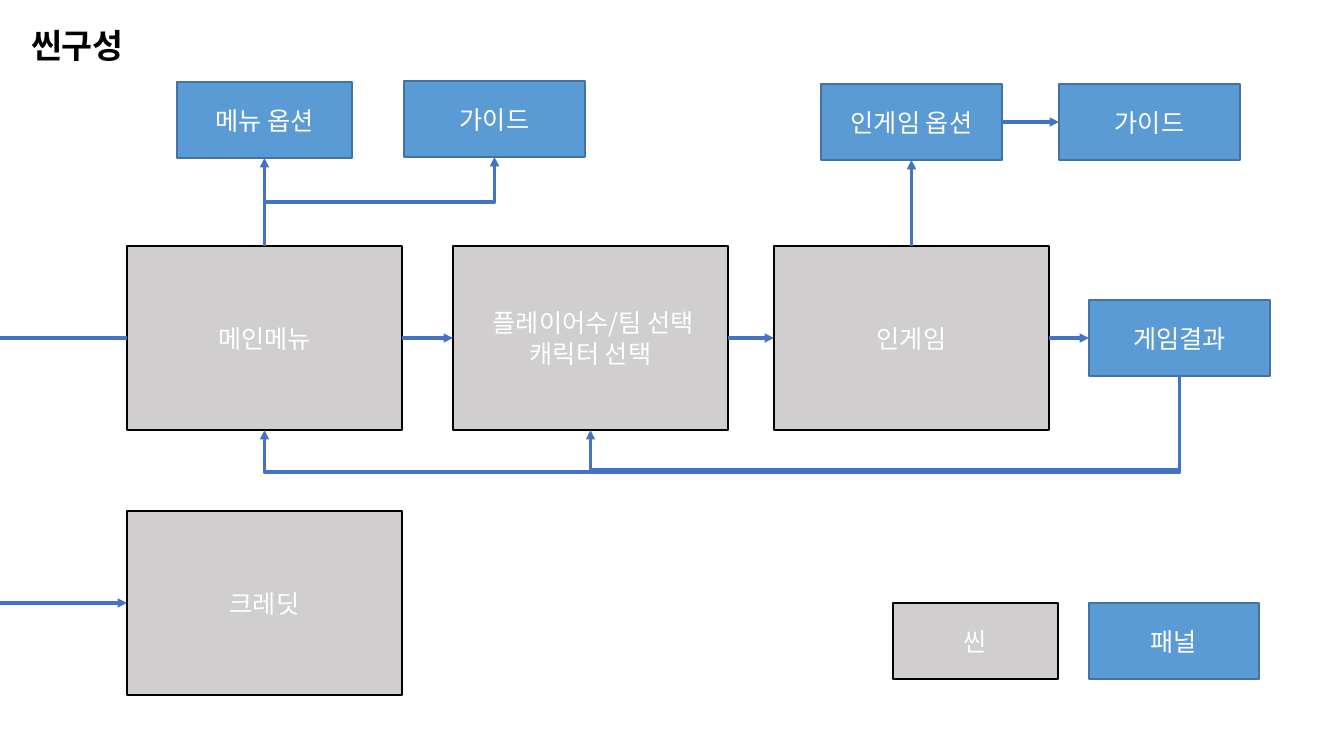
from lxml import etree
from pptx import Presentation
from pptx import util as u
from pptx.dml.color import RGBColor
from pptx.enum import shapes, text
from pptx.oxml.ns import qn

PX = 914400 / 100.8
FONT = "Noto Sans CJK KR"
COLOURS = {
    "scene": "D0CECE", "scene_edge": "000000",
    "panel": "5B9BD5", "panel_edge": "43739E",
    "arrow": "4472C4", "label": "FFFFFF", "title": "000000",
}
TOP, LEFT, BOTTOM, RIGHT = range(4)
SCENE_W, SCENE_H = 275, 184
PANEL_W, PANEL_H = 181, 76


def px(*lengths):
    return [u.Emu(round(length * PX)) for length in lengths]


def colour(name):
    return RGBColor.from_string(COLOURS[name])


def format_run(run, size, colour_name, bold=False):
    for key, value in {"size": u.Pt(size), "bold": bold, "name": FONT}.items():
        setattr(run.font, key, value)
    run.font.color.rgb = colour(colour_name)
    etree.SubElement(run.font._element, qn("a:ea"), typeface=FONT)


def add_title(slide, left, top, width, height):
    title = slide.shapes.title
    title.left, title.top, title.width, title.height = px(left, top, width, height)
    frame = title.text_frame
    frame.text = "씬구성"
    for key, value in {"word_wrap": False, "auto_size": text.MSO_AUTO_SIZE.NONE,
                       "vertical_anchor": text.MSO_ANCHOR.TOP}.items():
        setattr(frame, key, value)
    heading = frame.paragraphs[0]
    for key, value in {"alignment": text.PP_ALIGN.LEFT, "line_spacing": 1.0,
                       "space_before": u.Pt(0)}.items():
        setattr(heading, key, value)
    format_run(heading.runs[0], 24, "title", bold=True)


def add_box(slide, kind, label, left, top, width, height):
    box = slide.shapes.add_shape(shapes.MSO_SHAPE.RECTANGLE,
                                 *px(left, top, width, height))
    box.shadow.inherit = False
    box.fill.solid()
    box.fill.fore_color.rgb = colour(kind)
    box.line.color.rgb = colour(kind + "_edge")
    box.line.width = u.Pt(1)
    frame = box.text_frame
    frame.text = label
    frame.word_wrap = True
    frame.vertical_anchor = text.MSO_ANCHOR.MIDDLE
    for paragraph in frame.paragraphs:
        paragraph.alignment = text.PP_ALIGN.CENTER
        format_run(paragraph.runs[0], 18, "label")
    return box


def add_line(slide, start, end, elbow=False, head=True):
    kind = shapes.MSO_CONNECTOR.ELBOW if elbow else shapes.MSO_CONNECTOR.STRAIGHT
    line = slide.shapes.add_connector(kind, *px(*start, *end))
    line.line.color.rgb = colour("arrow")
    line.line.width = u.Pt(2.25)
    if head:
        etree.SubElement(line.line._get_or_add_ln(), qn("a:tailEnd"), type="triangle")
    etree.SubElement(line._element.spPr, qn("a:effectLst"))
    return line


def connect(slide, source, source_side, target, target_side, elbow=False):
    arrow = add_line(slide, (0, 0), (0, 0), elbow)
    arrow.begin_connect(source, source_side)
    arrow.end_connect(target, target_side)
    return arrow


def connect_by_elbow(slide, source, source_side, target, target_side, bend_y):
    """Leave and arrive vertically, crossing over at height bend_y."""
    arrow = connect(slide, source, source_side, target, target_side, elbow=True)
    x1, y1, x2, y2 = arrow.begin_x, arrow.begin_y, arrow.end_x, arrow.end_y
    width, height = abs(y2 - y1), abs(x2 - x1)
    xfrm = arrow._element.spPr.find(qn("a:xfrm"))
    for key, value in {"rot": 5400000, "flipH": int(y2 < y1),
                       "flipV": int(x2 > x1)}.items():
        xfrm.set(key, str(value))
    arrow.left, arrow.top = (x1 + x2 - width) // 2, (y1 + y2 - height) // 2
    arrow.width, arrow.height = width, height
    bend = round((px(bend_y)[0] - y1) / (y2 - y1) * 100000)
    guides = arrow._element.spPr.find(qn("a:prstGeom")).get_or_add_avLst()
    etree.SubElement(guides, qn("a:gd"), name="adj1", fmla=f"val {bend}")


def add_scene_flow(slide, left, top):
    """Scenes in a row, with their panels above and the result at the right."""
    main, choice, game = [
        add_box(slide, "scene", label, left + offset, top, SCENE_W, SCENE_H)
        for label, offset in (("메인메뉴", 0),
                              (" 플레이어수/팀 선택\n캐릭터 선택", 326),
                              ("인게임", 647))]
    menu_options, menu_guide, game_options, game_guide, result = [
        add_box(slide, "panel", label, left + dx, top + dy, width, PANEL_H)
        for label, dx, dy, width in (("메뉴 옵션", 50, -164, 175),
                                     ("가이드", 277, -165, PANEL_W),
                                     ("인게임 옵션", 694, -162, PANEL_W),
                                     ("가이드", 932, -162, PANEL_W),
                                     ("게임결과", 962, 54, PANEL_W))]
    for source, source_side, target, target_side in (
            (main, RIGHT, choice, LEFT), (choice, RIGHT, game, LEFT),
            (game, RIGHT, result, LEFT), (main, TOP, menu_options, BOTTOM),
            (game, TOP, game_options, BOTTOM),
            (game_options, RIGHT, game_guide, LEFT)):
        connect(slide, source, source_side, target, target_side)
    for source, source_side, target, bend in (
            (main, TOP, menu_guide, -44), (result, BOTTOM, main, 226),
            (result, BOTTOM, choice, 224)):
        connect_by_elbow(slide, source, source_side, target, BOTTOM, top + bend)


def add_credits(slide, left, top, main_top):
    """Credits scene, reached from the main menu by way of the left edge."""
    add_box(slide, "scene", "크레딧", left, top, SCENE_W, SCENE_H)
    for scene_top, head in ((main_top, False), (top, True)):
        middle = scene_top + SCENE_H // 2
        add_line(slide, (0, middle), (left, middle), head=head)


def add_legend(slide, left, top):
    add_box(slide, "scene", "씬", left, top, 165, PANEL_H)
    add_box(slide, "panel", "패널", left + 196, top, 170, PANEL_H)


def main():
    deck = Presentation()
    deck.slide_width, deck.slide_height = px(1344, 756)
    slide = deck.slides.add_slide(deck.slide_layouts[5])
    add_title(slide, 21, 20, 122, 50)
    add_scene_flow(slide, 127, 246)
    add_credits(slide, 127, 511, 246)
    add_legend(slide, 893, 603)
    deck.save("out.pptx")


if __name__ == "__main__":
    main()
